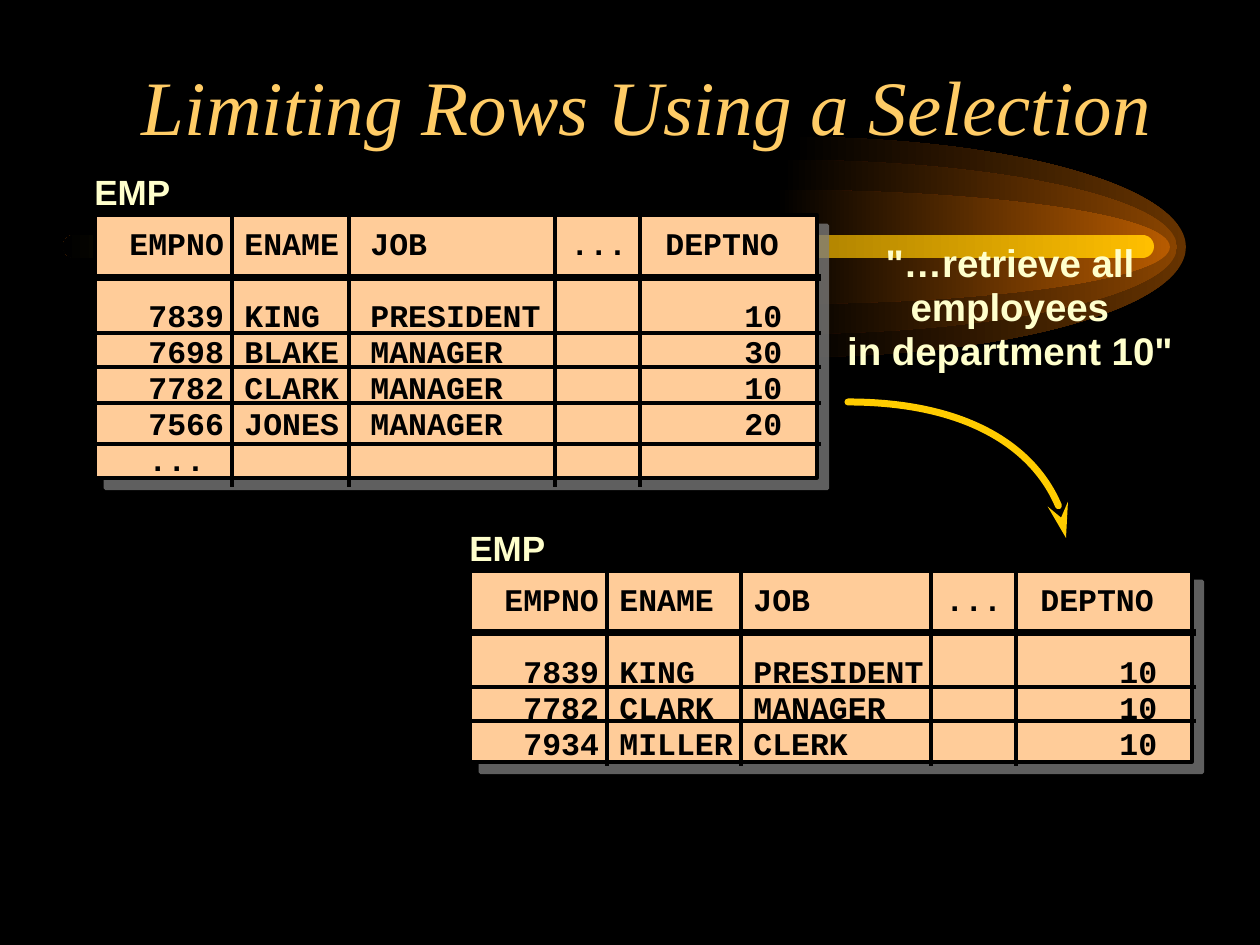
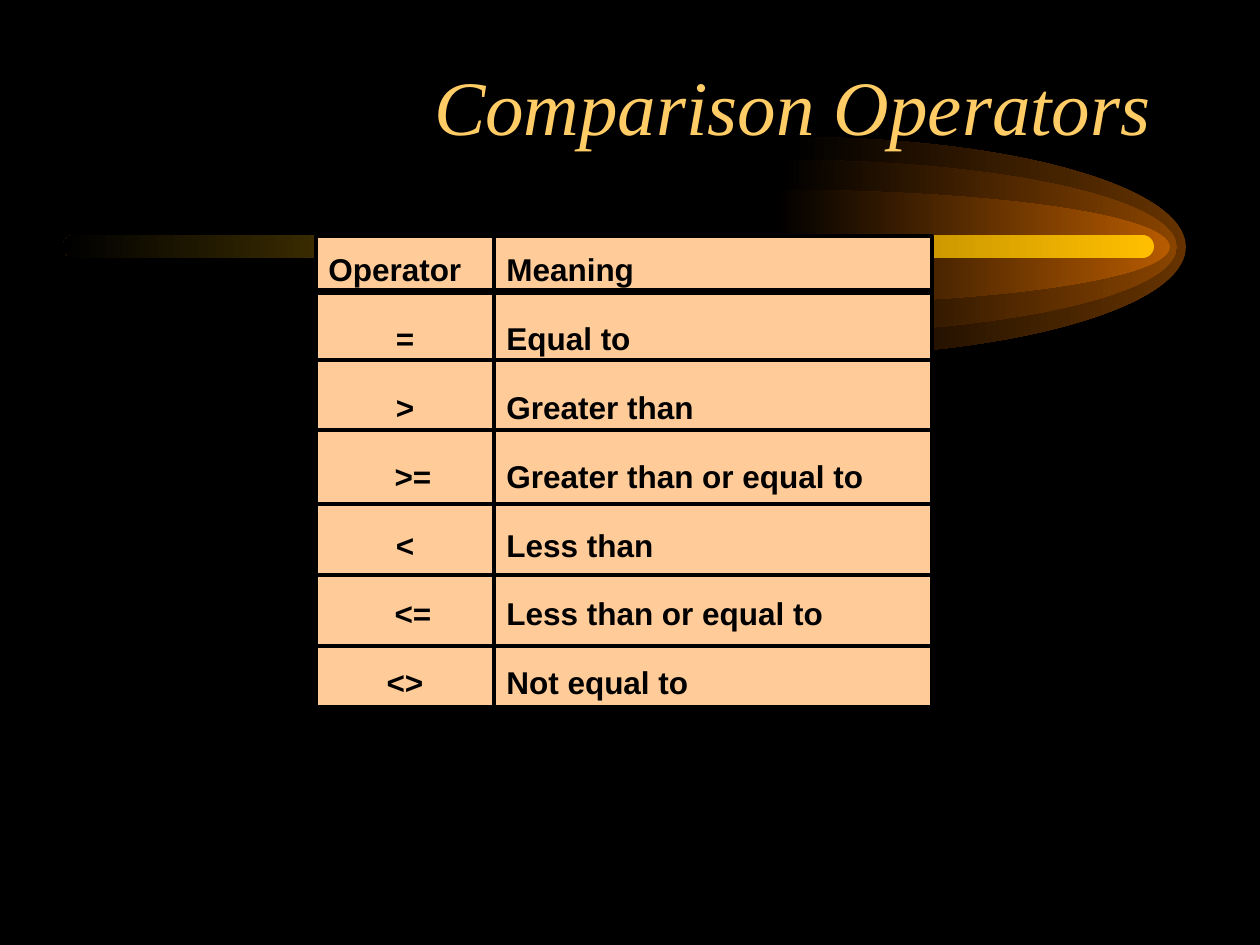
from lxml import etree
from pptx import Presentation, util as u
from pptx.dml.color import RGBColor
from pptx.enum import shapes, text
from pptx.oxml import ns

PX = 914400 // 126
BLACK = RGBColor(0x00, 0x00, 0x00)
GOLD = RGBColor(0xFF, 0xCC, 0x66)
CREAM = RGBColor(0xFF, 0xFF, 0xCC)
PEACH = RGBColor(0xFF, 0xCC, 0x99)
ARROW = RGBColor(0xFF, 0xCC, 0x00)
SHADE = RGBColor(0x80, 0x80, 0x80)
BAR = RGBColor(0xFF, 0xBF, 0x00)
GLOWS = [
    (792, 394, 110, RGBColor(0x66, 0x33, 0x00)),
    (782, 395, 87, RGBColor(0x89, 0x44, 0x00)),
    (776, 394, 57, RGBColor(0xB7, 0x5B, 0x00)),
]
GLOW_Y = 247
ROUNDNESS = 0.55

TITLE = dict(name="Times New Roman", size=u.Pt(44), italic=True, bold=False, color=GOLD)
LABEL = dict(name="Arial", size=u.Pt(20), bold=True, color=CREAM)
QUOTE = dict(LABEL, size=u.Pt(22))
MONO = dict(name="Courier New", size=u.Pt(18), bold=True, color=BLACK)
SANS = dict(MONO, name="Arial")
LEFT, CENTER, RIGHT = text.PP_ALIGN.LEFT, text.PP_ALIGN.CENTER, text.PP_ALIGN.RIGHT

HEADER = ["EMPNO", "ENAME", "JOB", "...", "DEPTNO"]
EMP_TABLES = [
    dict(
        box=(95, 215, 722, 263),
        columns=[232, 349, 555, 640],
        lines=[278, 333, 367, 403, 444],
        overhang=9,
        job_tab=260,
        rows=[
            ["7839", "KING", "PRESIDENT", "10"],
            ["7698", "BLAKE", "MANAGER", "30"],
            ["7782", "CLARK", "MANAGER", "10"],
            ["7566", "JONES", "MANAGER", "20"],
            ["..."],
        ],
    ),
    dict(
        box=(470, 571, 722, 191),
        columns=[607, 741, 931, 1016],
        lines=[633, 687, 721],
        overhang=4,
        job_tab=268,
        rows=[
            ["7839", "KING", "PRESIDENT", "10"],
            ["7782", "CLARK", "MANAGER", "10"],
            ["7934", "MILLER", "CLERK", "10"],
        ],
    ),
]
QUOTE_TEXT = "\"…retrieve all\vemployees\vin department 10\""
CURVE = [(848, 402), (965, 402), (1062, 462), (1066, 538)]

OPERATORS = [
    ("Operator", "Meaning"),
    ("=", "Equal to"),
    (">", "Greater than"),
    (">=", "Greater than or equal to"),
    ("<", "Less than"),
    ("<=", "Less than or equal to"),
    ("<>", "Not equal to"),
]
OPERATOR_BOXES = [(316, 236, 178, 471), (494, 236, 438, 471)]
OPERATOR_LINES = [292, 360, 430, 504, 575, 646]


def px(*values):
    return [round(value * PX) for value in values]


def write(frame, words, style, align=LEFT, spacing=1.0):
    frame.text = words
    for para in frame.paragraphs:
        para.alignment = align
        para.line_spacing = spacing
        for span in para.runs:
            for key, value in style.items():
                if key == "color":
                    span.font.color.rgb = value
                else:
                    setattr(span.font, key, value)


def add_text(page, box, words, style, align=LEFT, spacing=1.0, wrap=True):
    frame = page.shapes.add_textbox(*px(*box)).text_frame
    frame.word_wrap = wrap
    write(frame, words, style, align, spacing)
    return frame


def set_tabs(para, stops):
    tabs = etree.SubElement(para._p.get_or_add_pPr(), ns.qn("a:tabLst"))
    for stop in px(*stops):
        etree.SubElement(tabs, ns.qn("a:tab"), pos=str(stop), algn="l")


def add_panel(page, box):
    panel = page.shapes.add_shape(shapes.MSO_SHAPE.RECTANGLE, *px(*box))
    panel.shadow.inherit = False
    panel.fill.solid()
    panel.fill.fore_color.rgb = PEACH
    panel.line.color.rgb = BLACK
    panel.line.width = u.Pt(2)
    return panel


def add_shadow(panel):
    effects = panel.element.spPr.find(ns.qn("a:effectLst"))
    shadow = etree.SubElement(effects, ns.qn("a:outerShdw"), dist=str(u.Pt(8.5)),
                              dir="2700000", algn="ctr", rotWithShape="0")
    color = etree.SubElement(shadow, ns.qn("a:srgbClr"), val=str(SHADE))
    etree.SubElement(color, ns.qn("a:alpha"), val="75000")


def add_rule(page, start, end, points=2):
    rule = page.shapes.add_connector(
        shapes.MSO_CONNECTOR.STRAIGHT, *px(*start), *px(*end))
    rule.line.color.rgb = BLACK
    rule.line.width = u.Pt(points)
    etree.SubElement(rule.element.spPr, ns.qn("a:effectLst"))


def add_row_rules(page, left, right, lines):
    for index, y in enumerate(lines):
        add_rule(page, (left, y), (right, y), 2 if index else 4)


def fade(shape, color):
    shape.shadow.inherit = False
    shape.line.fill.background()
    shape.fill.gradient()
    shape.fill.gradient_angle = 180
    for stop, shade in zip(shape.fill.gradient_stops, (color, BLACK)):
        stop.color.rgb = shade


def add_curve(page, points, close):
    points = [px(*point) for point in points]
    outline = page.shapes.build_freeform(*points[0])
    outline.add_line_segments(points[1:], close=close)
    shape = outline.convert_to_shape()
    shape.shadow.inherit = False
    segments = list(shape.element.iter(ns.qn("a:lnTo")))
    for first in range(0, len(segments), 3):
        bezier = etree.Element(ns.qn("a:cubicBezTo"))
        segments[first].addprevious(bezier)
        for segment in segments[first:first + 3]:
            bezier.append(segment[0])
            segment.getparent().remove(segment)
    return shape


def draw_comet(page, master):
    parts = []
    for x, width, height, color in GLOWS:
        upper = [(0, -1), (ROUNDNESS, -1), (1, -ROUNDNESS)]
        lower = [(a, -b) for a, b in reversed(upper)]
        arc = [(x + a * width, GLOW_Y + b * height) for a, b in upper + [(1, 0)] + lower]
        parts.append(add_curve(page, arc, True))
        fade(parts[-1], color)
    bar = page.shapes.add_shape(shapes.MSO_SHAPE.ROUNDED_RECTANGLE, *px(63, 235, 1091, 23))
    bar.adjustments[0] = 0.5
    fade(bar, BAR)
    for index, part in enumerate(parts + [bar]):
        master.shapes.element.insert(2 + index, part.element)


def add_page(deck, title, left, width):
    page = deck.slides.add_slide(deck.slide_layouts[5])
    box = page.shapes.title
    box.left, box.top, box.width, box.height = px(left, 52, width, 158)
    box.text_frame.vertical_anchor = text.MSO_ANCHOR.TOP
    write(box.text_frame, title, TITLE, RIGHT)
    return page


def add_emp_table(page, box, columns, lines, overhang, job_tab, rows):
    left, top, width, height = box
    add_shadow(add_panel(page, box))
    add_text(page, (left - 13, top - 51, 102, 54), "EMP", LABEL, wrap=False)
    add_row_rules(page, left - 1, left + width + 4, lines)
    for x in columns:
        add_rule(page, (x, top - 1), (x, top + height + overhang))
    words = "\n".join("\t" + "\t".join(row) for row in [HEADER] + rows)
    frame = add_text(page, (left + 3, top + 6, 775, height + 2), words, MONO, spacing=0.95)
    header, *body = frame.paragraphs
    set_tabs(header, [19, 134, job_tab, 460, 555])
    body[0].space_before = u.Pt(20.5)
    for para in body:
        set_tabs(para, [38, 134, job_tab, 634])


def add_arrow(page):
    arrow = add_curve(page, CURVE, False)
    arrow.fill.background()
    arrow.line.color.rgb = ARROW
    arrow.line.width = u.Pt(4)
    line = arrow.line._get_or_add_ln()
    line.set("cap", "rnd")
    etree.SubElement(line, ns.qn("a:tailEnd"), type="stealth", len="lg")


def add_operator_table(page):
    for box, words, align in zip(OPERATOR_BOXES, zip(*OPERATORS), (CENTER, LEFT)):
        frame = add_panel(page, box).text_frame
        frame.word_wrap = True
        frame.vertical_anchor = text.MSO_ANCHOR.TOP
        write(frame, "\n".join(words), SANS, align, 1.2)
        header, *body = frame.paragraphs
        header.alignment = LEFT
        for para in body:
            para.space_before = u.Pt(13.5)
            if para.text in (">=", "<="):
                para._p.get_or_add_pPr().set("marL", str(16 * PX))
    left, _, width, _ = OPERATOR_BOXES[0]
    add_row_rules(page, left, left + width + OPERATOR_BOXES[1][2], OPERATOR_LINES)


def main():
    deck = Presentation()
    deck.slide_width, deck.slide_height = u.Inches(10), u.Inches(7.5)
    master = deck.slide_master
    master.background.fill.solid()
    master.background.fill.fore_color.rgb = BLACK

    page = add_page(deck, "Limiting Rows Using a Selection", 94, 1071)
    draw_comet(page, master)
    add_text(page, (823, 236, 374, 145), QUOTE_TEXT, QUOTE, CENTER, 0.95)
    add_arrow(page)
    for emp in EMP_TABLES:
        add_emp_table(page, **emp)

    page = add_page(deck, "Comparison Operators", 101, 1063)
    add_operator_table(page)
    deck.save("out.pptx")


if __name__ == "__main__":
    main()
